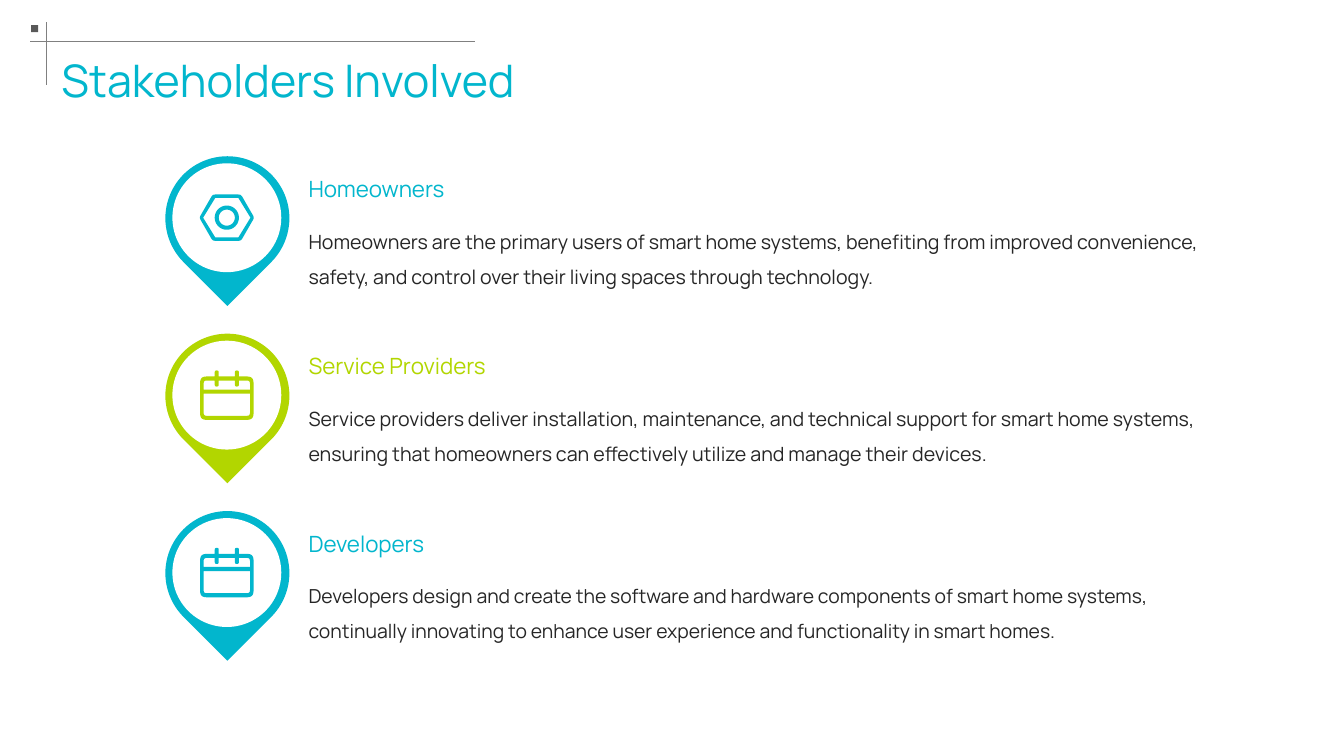
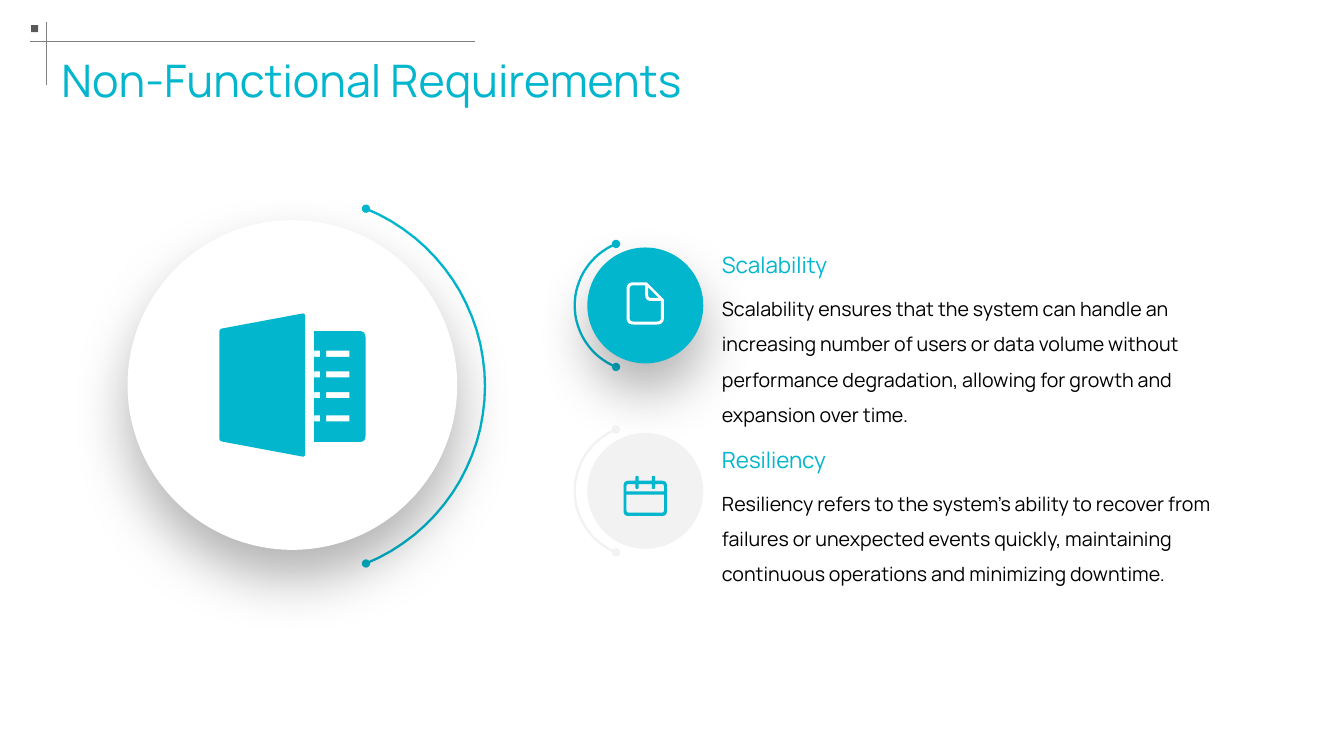
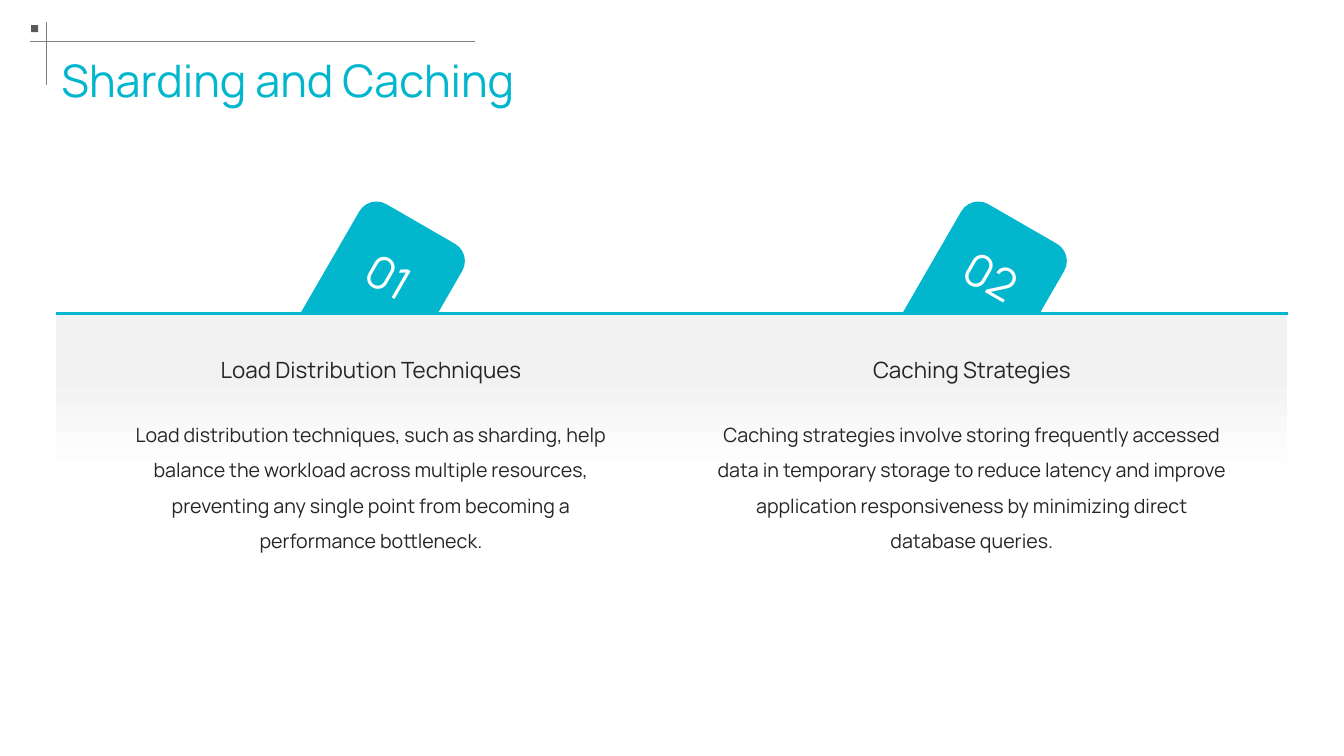
from dataclasses import dataclass
from math import asin, cos, hypot, pi, sin

from lxml.etree import SubElement
from pptx import Presentation
from pptx.dml.color import RGBColor
from pptx.enum.shapes import MSO_CONNECTOR, MSO_SHAPE
from pptx.enum.text import MSO_ANCHOR, MSO_AUTO_SIZE, PP_ALIGN
from pptx.oxml.ns import qn
from pptx.util import Emu, Pt

EMU_PER_PX = 9144  # 100 px to the inch
FINE = 10  # outline units per px
FONT = "Manrope"
TEAL, LIME, WHITE, BLACK = "02B6CD", "B2D600", "FFFFFF", "000000"
INK, PALE, RULE, DOT = "262626", "F2F2F2", "808080", "595959"
TITLE_ONLY = 5


def px(length):
    return Emu(round(length * EMU_PER_PX))


def color(hex_string):
    return RGBColor.from_string(hex_string)


def rounded(*corners):
    """Outline through (x, y) or (x, y, radius) corners, the latter rounded off."""
    points = []
    for index, (x, y, *radius) in enumerate(corners):
        if not radius:
            points.append((x, y))
            continue
        ends = []
        for near_x, near_y, *_ in (corners[index - 1], corners[(index + 1) % len(corners)]):
            part = radius[0] / hypot(near_x - x, near_y - y)
            ends.append((x + (near_x - x) * part, y + (near_y - y) * part))
        (start_x, start_y), (end_x, end_y) = ends
        for step in range(7):
            t = step / 6
            a, b, c = (1 - t) ** 2, 2 * t * (1 - t), t ** 2
            points.append((a * start_x + b * x + c * end_x, a * start_y + b * y + c * end_y))
    return points


def circle(x, y, radius, steps=48):
    angles = [2 * pi * step / steps for step in range(steps)]
    return [(x + radius * cos(angle), y + radius * sin(angle)) for angle in angles]


def rectangle(left, top, right, bottom):
    return [(left, top), (right, top), (right, bottom), (left, bottom)]


@dataclass
class Icon:
    """Outlines on a grid of its own; an outline inside another cuts a hole."""
    width: int
    height: int
    outlines: list


NUT = Icon(530, 460, [
    rounded((-8, 230, 25), (125, 0, 25), (405, 0, 25),
            (538, 230, 25), (405, 460, 25), (125, 460, 25)),
    rounded((30, 230), (150, 35), (380, 35), (500, 230), (380, 425), (150, 425)),
    circle(265, 230, 120),
    circle(265, 230, 80),
])
CALENDAR = Icon(530, 490, [
    rounded((0, 60, 60), (145, 60), (145, 0, 20), (185, 0, 20), (185, 60),
            (345, 60), (345, 0, 20), (385, 0, 20), (385, 60),
            (530, 60, 60), (530, 490, 60), (0, 490, 60)),
    rounded((35, 190), (35, 100, 30), (145, 100), (145, 160, 20), (185, 160, 20),
            (185, 100), (345, 100), (345, 160, 20), (385, 160, 20), (385, 100),
            (495, 100, 30), (495, 190)),
    rounded((35, 230), (495, 230), (495, 450, 30), (35, 450, 30)),
])
DOCUMENT = Icon(380, 430, [
    rounded((0, 0, 70), (205, 0, 10), (380, 175, 10), (380, 430, 70), (0, 430, 70)),
    rounded((30, 30, 40), (190, 30), (190, 190, 60), (350, 190),
            (350, 400, 40), (30, 400, 40)),
    rounded((220, 50), (330, 160), (220, 160, 30)),
])
LEDGER = Icon(1450, 1430, [
    rounded((0, 160, 30), (850, 0, 30), (850, 1430, 30), (0, 1270, 30)),
    rounded((940, 180), (1450, 180, 60), (1450, 1280, 60), (940, 1280)),
    *[rectangle(left, top, right, top + 60)
      for top in (375, 580, 785, 1015)
      for left, right in ((940, 1000), (1060, 1290))],
])


def add_shape(slide, preset, left, top, width, height, fill, rotation=0):
    shape = slide.shapes.add_shape(preset, px(left), px(top), px(width), px(height))
    shape.rotation = rotation
    shape.shadow.inherit = False
    shape.line.fill.background()
    if fill:
        shape.fill.solid()
        shape.fill.fore_color.rgb = color(fill)
    return shape


def add_soft_shadow(shape):
    effects = shape.element.spPr.find(qn("a:effectLst"))
    shadow = SubElement(effects, qn("a:outerShdw"), blurRad=str(Pt(40)),
                        dist=str(Pt(20)), dir="5400000", algn="t", rotWithShape="0")
    tint = SubElement(shadow, qn("a:srgbClr"), val=BLACK)
    SubElement(tint, qn("a:alpha"), val="30000")


def add_disc(slide, center_x, center_y, diameter, fill):
    return add_shape(slide, MSO_SHAPE.OVAL, center_x - diameter / 2,
                     center_y - diameter / 2, diameter, diameter, fill)


def add_line(slide, start, end, line_color, weight):
    line = slide.shapes.add_connector(MSO_CONNECTOR.STRAIGHT, *map(px, start + end))
    line.line.color.rgb = color(line_color)
    line.line.width = Pt(weight)
    SubElement(line.element.spPr, qn("a:effectLst"))


def add_icon(slide, icon, center_x, center_y, width, fill):
    scale = px(width) / icon.width
    first, *others = icon.outlines
    builder = slide.shapes.build_freeform(*first[0], scale=scale)
    builder.add_line_segments(first[1:], close=True)
    for outline in others:
        builder.move_to(*outline[0])
        builder.add_line_segments(outline[1:], close=True)
    shape = builder.convert_to_shape(px(center_x) - round(icon.width * scale / 2),
                                     px(center_y) - round(icon.height * scale / 2))
    shape.shadow.inherit = False
    shape.fill.solid()
    shape.fill.fore_color.rgb = color(fill)
    shape.line.fill.background()


def add_arc(slide, edge_x, center_y, half_height, depth, line_color):
    """Dot-ended arc bulging to edge_x: to the right if depth is positive, else left."""
    radius = (half_height ** 2 + depth ** 2) / (2 * depth)
    limit = asin(half_height / abs(radius))
    angles = [limit * step / 16 for step in range(-16, 17)]
    points = [((edge_x - radius * (1 - cos(angle))) * FINE,
               (center_y + abs(radius) * sin(angle)) * FINE) for angle in angles]
    builder = slide.shapes.build_freeform(*points[0], scale=EMU_PER_PX / FINE)
    builder.add_line_segments(points[1:], close=False)
    arc = builder.convert_to_shape()
    arc.shadow.inherit = False
    arc.fill.background()
    arc.line.color.rgb = color(line_color)
    arc.line.width = Pt(1.63)
    outline = arc.element.spPr.find(qn("a:ln"))
    for end in ("a:headEnd", "a:tailEnd"):
        SubElement(outline, qn(end), type="oval")


def format_text(shape, text, size, text_color, spacing, anchor, align):
    frame = shape.text_frame
    frame.word_wrap = True
    frame.auto_size = MSO_AUTO_SIZE.NONE
    frame.vertical_anchor = anchor
    frame.margin_left = frame.margin_top = frame.margin_right = frame.margin_bottom = 0
    frame.text = text
    paragraph = frame.paragraphs[0]
    paragraph.alignment = align
    paragraph.line_spacing = spacing
    paragraph.space_before = Pt(0)
    paragraph.font.name = FONT
    paragraph.font.size = Pt(size)
    paragraph.font.color.rgb = color(text_color)


def add_text(slide, left, top, width, height, text, size, text_color, spacing,
             anchor=MSO_ANCHOR.TOP, align=PP_ALIGN.LEFT):
    box = slide.shapes.add_textbox(px(left), px(top), px(width), px(height))
    format_text(box, text, size, text_color, spacing, anchor, align)
    return box


def add_titled_slide(presentation, title):
    slide = presentation.slides.add_slide(presentation.slide_layouts[TITLE_ONLY])
    holder = slide.shapes.title
    holder.left, holder.top, holder.width, holder.height = map(px, (61, 50, 1204, 47))
    format_text(holder, title, 32, TEAL, 1.2, MSO_ANCHOR.MIDDLE, PP_ALIGN.LEFT)
    add_line(slide, (30, 41), (471, 41), RULE, 0.5)
    add_line(slide, (46, 84), (46, 22), RULE, 0.5)
    add_shape(slide, MSO_SHAPE.RECTANGLE, 31, 25, 7, 7, DOT)
    return slide


def add_pin_row(slide, left, top, heading, body, accent, icon, body_size):
    pin = 123
    center_x, center_y = left + 61, top + 61
    text_left, text_width = left + 142, 885
    add_shape(slide, MSO_SHAPE.TEAR, left, top, pin, pin, accent, rotation=135)
    add_disc(slide, center_x, center_y, 108, WHITE)
    add_icon(slide, icon, center_x, center_y, 53, accent)
    add_text(slide, text_left, top + 10, text_width, 36, heading, 16, accent, 1.3,
             MSO_ANCHOR.MIDDLE)
    add_text(slide, text_left, top + 61, text_width, 87, body, body_size, INK, 1.5)


def build_stakeholders(presentation):
    slide = add_titled_slide(presentation, "Stakeholders Involved")
    rows = [
        ("Homeowners",
         "Homeowners are the primary users of smart home systems, benefiting from improved "
         "convenience, safety, and control over their living spaces through technology.",
         TEAL, NUT, 14),
        ("Service Providers",
         "Service providers deliver installation, maintenance, and technical support for smart "
         "home systems, ensuring that homeowners can effectively utilize and manage their devices.",
         LIME, CALENDAR, 14),
        ("Developers",
         "Developers design and create the software and hardware components of smart home "
         "systems, continually innovating to enhance user experience and functionality in "
         "smart homes.",
         TEAL, CALENDAR, 13.8),
    ]
    for index, row in enumerate(rows):
        add_pin_row(slide, 164, 155 + 176 * index, *row)


def add_badge(slide, center_x, center_y, fill):
    add_arc(slide, center_x - 70, center_y, 61, -41, fill)
    return add_disc(slide, center_x, center_y, 115, fill)


def add_requirement_text(slide, left, top, heading, body):
    width = 522
    add_text(slide, left, top, width, 36, heading, 16, TEAL, 1.1, MSO_ANCHOR.BOTTOM)
    add_text(slide, left, top + 43, width, 130, body, 14, BLACK, 1.5)


def build_requirements(presentation):
    slide = add_titled_slide(presentation, "Non-Functional Requirements")
    add_arc(slide, 481, 383, 176, 118, TEAL)
    add_soft_shadow(add_disc(slide, 290, 382, 327, WHITE))
    add_icon(slide, LEDGER, 290, 382, 145, TEAL)

    add_soft_shadow(add_badge(slide, 640, 303, TEAL))
    add_icon(slide, DOCUMENT, 640, 301, 37, WHITE)
    add_badge(slide, 640, 487, PALE)
    add_icon(slide, CALENDAR, 640, 492, 43, TEAL)

    texts = [
        ("Scalability",
         "Scalability ensures that the system can handle an increasing number of users or data "
         "volume without performance degradation, allowing for growth and expansion over time."),
        ("Resiliency",
         "Resiliency refers to the system's ability to recover from failures or unexpected "
         "events quickly, maintaining continuous operations and minimizing downtime."),
    ]
    for index, (heading, body) in enumerate(texts):
        add_requirement_text(slide, 716, 240 + 193 * index, heading, body)


def add_tilted_tab(slide, left, top, number):
    add_shape(slide, MSO_SHAPE.ROUNDED_RECTANGLE, left, top, 118, 213, TEAL, rotation=30)
    label = add_text(slide, left + 46, top + 35, 79, 47, number, 32, WHITE, 1.1,
                     align=PP_ALIGN.CENTER)
    label.rotation = 30


def add_fading_panel(slide, left, top, width, height):
    panel = add_shape(slide, MSO_SHAPE.RECTANGLE, left, top, width, height, None)
    panel.fill.gradient()
    panel.fill.gradient_angle = 90
    stops = ((0.41, WHITE), (0.79, PALE))
    for stop, (position, stop_color) in zip(panel.fill.gradient_stops, stops):
        stop.position = position
        stop.color.rgb = color(stop_color)
    add_line(slide, (left, top), (left + width, top), TEAL, 1.5)


def add_centered_column(slide, left, top, heading, body):
    width = 512
    add_text(slide, left, top, width, 47, heading, 16, INK, 1.2,
             MSO_ANCHOR.MIDDLE, PP_ALIGN.CENTER)
    add_text(slide, left, top + 67, width, 191, body, 14, INK, 1.5, align=PP_ALIGN.CENTER)


def build_sharding(presentation):
    slide = add_titled_slide(presentation, "Sharding and Caching")
    columns = [
        ("Load Distribution Techniques",
         "Load distribution techniques, such as sharding, help balance the workload across "
         "multiple resources, preventing any single point from becoming a performance "
         "bottleneck."),
        ("Caching Strategies",
         "Caching strategies involve storing frequently accessed data in temporary storage to "
         "reduce latency and improve application responsiveness by minimizing direct database "
         "queries."),
    ]
    for index in range(len(columns)):
        add_tilted_tab(slide, 305 + 597 * index, 208, f"{index + 1:02}")
    add_fading_panel(slide, 56, 311, 1221, 276)
    for index, (heading, body) in enumerate(columns):
        add_centered_column(slide, 112 + 596 * index, 341, heading, body)


def main():
    presentation = Presentation()
    presentation.slide_width, presentation.slide_height = px(1333), px(750)
    build_stakeholders(presentation)
    build_requirements(presentation)
    build_sharding(presentation)
    presentation.save("out.pptx")


if __name__ == "__main__":
    main()
